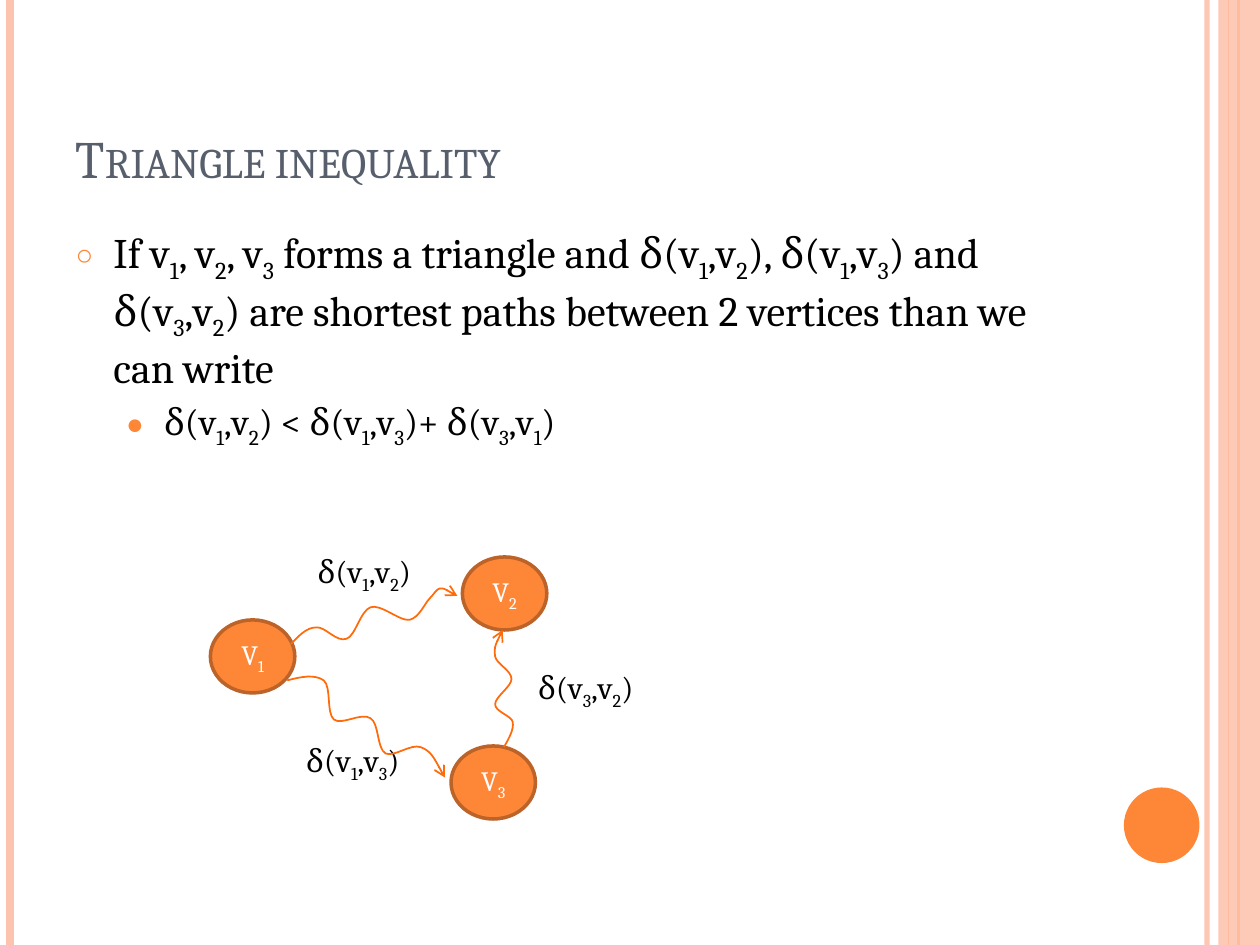
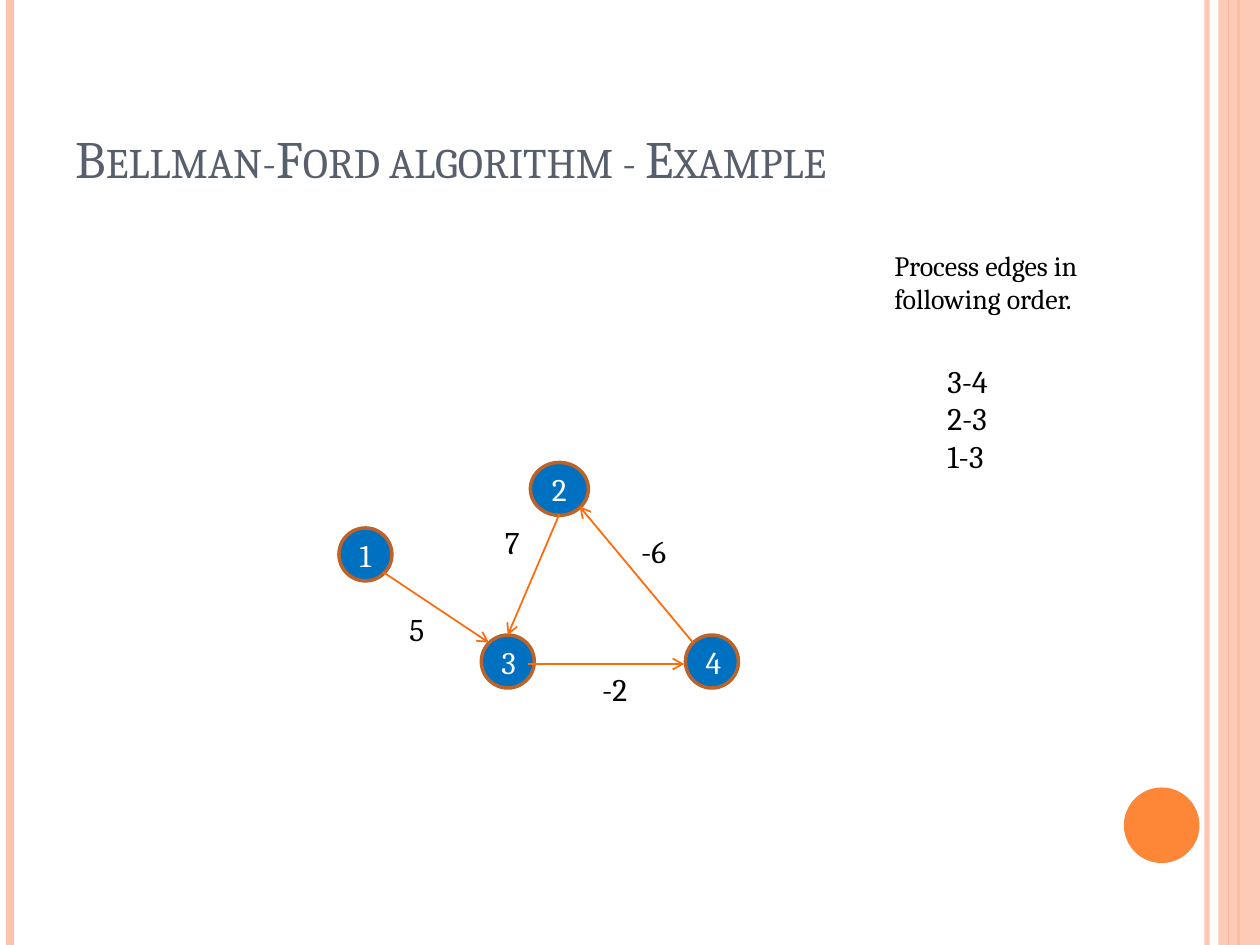
import pptx
import pptx.dml.color
import pptx.enum.shapes
import pptx.enum.text
import pptx.oxml
import pptx.oxml.ns
import pptx.util

FONT = "Cambria"
COLORS = {
    "accent": "FE8637", "band": "FEC3AE", "edge": "FF6B0A", "rim": "BC6329",
    "blue": "0070C0", "title": "575F6D", "text": "000000", "white": "FFFFFF",
}

# Content: lengths are cells of a grid of 100 columns by 75 rows; "_" lowers the next character
COLUMNS, ROWS = 100, 75
TITLE_AREA = (5, 3, 81.7, 12.5)
BODY_AREA = (5, 17.5, 81.7, 53.3)
BAND_LINES = [  # column, colour, points, opacity in percent
    (95.8, "band", 3, 93), (0.8, "band", 4.5, 100),
    (98.3, "accent", 1.5, 100), (97.5, "accent", 0.75, 100),
]
SIDE_BAND = (96.7, 0, 3.3, ROWS)
CORNER_DISC = (89.2, 62.5, 6, 6)
LEVELS = [  # size, left margin, bullet, bullet size in percent, space before
    {"size": 24, "margin": 0.3, "bullet": "○", "scale": 70, "before": 0},
    {"size": 21, "margin": 0.7, "bullet": "●", "scale": 80, "before": 4.2},
]

TRIANGLE = {
    "title": "Triangle inequality",
    "body": [
        (0, "If v_1, v_2, v_3 forms a triangle and δ(v_1,v_2), δ(v_1,v_3) and "
            "δ(v_3,v_2) are shortest paths between 2 vertices than we can write"),
        (1, "δ(v_1,v_2) < δ(v_1,v_3)+ δ(v_3,v_1)"),
    ],
    "node_style": {"fill": "accent", "size": 16},
    "nodes": [
        ("V_1", (16.7, 49.2, 6.7, 5.8)),
        ("V_2", (36.7, 44.2, 6.7, 5.8)),
        ("V_3", (35.8, 59.2, 6.7, 5.8)),
    ],
    "labels": [
        ("δ(v_1,v_2)", (24.2, 43.3, 10.2, 4)),
        ("δ(v_3,v_2)", (41.7, 52.5, 10.2, 4)),
        ("δ(v_1,v_3)", (23.3, 58.3, 10.2, 4)),
    ],
    # Start point, then two control points and an end point for each bend
    "waves": [
        [(23.1, 51.1), (23.7, 50.5), (24.3, 49.8), (25.1, 49.8),
         (25.8, 49.7), (26.7, 51), (27.5, 50.7), (28.2, 50.5), (28.6, 48.5), (29.4, 48.2),
         (30.2, 47.9), (31.7, 49.3), (32.5, 49.2), (33.3, 49), (33.7, 47.9), (34.1, 47.5),
         (34.5, 47.1), (34.6, 46.8), (34.9, 46.7), (35.3, 46.7), (35.8, 47), (36.3, 47.3)],
        [(22.8, 54), (23.9, 53.7), (25, 53.5), (25.7, 54),
         (26.3, 54.5), (25.9, 56.6), (26.5, 57.1), (27.1, 57.6), (28.7, 56.5), (29.4, 57),
         (30.1, 57.4), (29.9, 59.4), (30.6, 59.8), (31.3, 60.1), (32.6, 59), (33.4, 59.3),
         (34.2, 59.6), (34.7, 60.6), (35.3, 61.7)],
        [(40, 59.3), (40.4, 58.6), (40.8, 57.9), (40.7, 57.3),
         (40.6, 56.8), (39.3, 56.5), (39.3, 55.9), (39.3, 55.3), (40.6, 54.5), (40.6, 53.9),
         (40.6, 53.2), (39.4, 52.7), (39.3, 52.1), (39.2, 51.4), (39.5, 50.7), (39.9, 50)],
    ],
}
BELLMAN_FORD = {
    "title": "Bellman-Ford algorithm - Example",
    "node_style": {"fill": "blue", "size": 18},
    "nodes": [
        ("1", (26.9, 41.9, 4.2, 4.2)), ("2", (42.1, 36.7, 4.6, 4.2)),
        ("3", (38.2, 50.4, 4.2, 4.2)), ("4", (54.4, 50.4, 4.2, 4.2)),
    ],
    "arrows": [
        (44.4, 40.8, 40.3, 50.4), (41.9, 52.7, 54.3, 52.7),
        (30.4, 45.4, 38.8, 51), (55, 51, 46, 40.2),
    ],
    "labels": [
        ("5", (31.5, 47.9, 3.4, 4)), ("-2", (46.8, 52.7, 4.3, 4)),
        ("7", (39.1, 41, 3.4, 4)), ("-6", (49.9, 41.7, 4.3, 4)),
        ("3-4\n2-3\n1-3", (74.2, 28.2, 5.7, 10.1)),
    ],
    "note": ("Process edges in following order.", (70, 19.2, 18.3, 9.1)),
}

presentation = pptx.Presentation()
presentation.slide_width = pptx.util.Inches(10)
presentation.slide_height = pptx.util.Inches(7.5)
CELL = presentation.slide_width // COLUMNS


def cells(values):
    return [round(value * CELL) for value in values]


def rgb(name):
    return pptx.dml.color.RGBColor.from_string(COLORS[name])


def add_xml(parent, tag, **attributes):
    child = pptx.oxml.parse_xml(f"<a:{tag} {pptx.oxml.ns.nsdecls('a')}/>")
    for name, value in attributes.items():
        child.set(name, str(value))
    parent.append(child)
    return child


def apply(target, values):
    for name, value in values.items():
        setattr(target, name, value)


def set_opacity(shape, percent):
    color = next(shape._element.spPr.iter(pptx.oxml.ns.qn("a:srgbClr")))
    add_xml(color, "alpha", val=percent * 1000)


def write(paragraph, text, size, color="text"):
    """Write text, lowering each character that follows an underscore."""
    first, *rest = text.split("_")
    pieces = [(first, False)]
    for part in rest:
        pieces += [(part[0], True), (part[1:], False)]
    for piece, lowered in pieces:
        if piece:
            run = paragraph.add_run()
            run.text = piece
            apply(run.font, {"name": FONT, "size": pptx.util.Pt(size)})
            run.font.color.rgb = rgb(color)
            if lowered:
                run._r.get_or_add_rPr().set("baseline", "-25000")


def style_line(shape, color, points, arrow=False):
    shape.line.color.rgb = rgb(color)
    shape.line.width = pptx.util.Pt(points)
    if arrow:
        line = shape._element.spPr.find(pptx.oxml.ns.qn("a:ln"))
        add_xml(line, "tailEnd", type="arrow")


def add_line(slide, ends, color, points, arrow=False):
    line = slide.shapes.add_connector(pptx.enum.shapes.MSO_CONNECTOR.STRAIGHT, *cells(ends))
    style_line(line, color, points, arrow)
    add_xml(line._element.spPr, "effectLst")
    return line


def add_filled(slide, kind, area, color):
    shape = slide.shapes.add_shape(kind, *cells(area))
    shape.shadow.inherit = False
    shape.fill.solid()
    shape.fill.fore_color.rgb = rgb(color)
    shape.line.fill.background()
    return shape


def add_bands(slide):
    for column, color, points, opacity in BAND_LINES:
        line = add_line(slide, (column, 0, column, ROWS), color, points)
        if opacity < 100:
            set_opacity(line, opacity)
    kinds = pptx.enum.shapes.MSO_SHAPE
    set_opacity(add_filled(slide, kinds.RECTANGLE, SIDE_BAND, "band"), 87)
    add_filled(slide, kinds.OVAL, CORNER_DISC, "accent")


def place(shape, area):
    apply(shape, dict(zip(("left", "top", "width", "height"), cells(area))))
    shape.text_frame.auto_size = pptx.enum.text.MSO_AUTO_SIZE.NONE


def add_title(slide, text):
    title = slide.shapes.title
    place(title, TITLE_AREA)
    title.text_frame.vertical_anchor = pptx.enum.text.MSO_ANCHOR.BOTTOM
    paragraph = title.text_frame.paragraphs[0]
    paragraph.alignment = pptx.enum.text.PP_ALIGN.LEFT
    write(paragraph, text, 30, "title")
    paragraph.runs[0]._r.get_or_add_rPr().set("cap", "small")


def add_body(slide, items):
    body = slide.placeholders[1]
    place(body, BODY_AREA)
    for index, (level, text) in enumerate(items):
        frame = body.text_frame
        paragraph = frame.add_paragraph() if index else frame.paragraphs[0]
        style = LEVELS[level]
        apply(paragraph, {"level": level, "space_before": pptx.util.Pt(style["before"])})
        properties = paragraph._p.get_or_add_pPr()
        properties.set("marL", str(pptx.util.Inches(style["margin"])))
        properties.set("indent", str(pptx.util.Inches(-0.3)))
        add_xml(add_xml(properties, "buClr"), "srgbClr", val=COLORS["accent"])
        add_xml(properties, "buSzPct", val=style["scale"] * 1000)
        add_xml(properties, "buChar", char=style["bullet"])
        write(paragraph, text, style["size"])


def add_node(slide, text, area, fill, size):
    node = add_filled(slide, pptx.enum.shapes.MSO_SHAPE.OVAL, area, fill)
    style_line(node, "rim", 2)
    node.text_frame.vertical_anchor = pptx.enum.text.MSO_ANCHOR.MIDDLE
    paragraph = node.text_frame.paragraphs[0]
    paragraph.alignment = pptx.enum.text.PP_ALIGN.CENTER
    write(paragraph, text, size, "white")


def add_label(slide, text, area, size=18, wrap=False):
    frame = slide.shapes.add_textbox(*cells(area)).text_frame
    frame.word_wrap = wrap
    for index, line in enumerate(text.split("\n")):
        paragraph = frame.add_paragraph() if index else frame.paragraphs[0]
        write(paragraph, line, size)


def add_wave(slide, points):
    start, *bends = [cells(point) for point in points]
    builder = slide.shapes.build_freeform(*start)
    builder.add_line_segments(bends, close=False)
    wave = builder.convert_to_shape()
    wave.shadow.inherit = False
    wave.fill.background()
    style_line(wave, "edge", 1, arrow=True)
    # Join each three straight steps into one curve
    outline = next(wave._element.iter(pptx.oxml.ns.qn("a:path")))
    steps = outline.findall(pptx.oxml.ns.qn("a:lnTo"))
    for index in range(0, len(steps), 3):
        curve = add_xml(outline, "cubicBezTo")
        for step in steps[index:index + 3]:
            curve.append(step[0])
            outline.remove(step)


def build_slide(content):
    layout = presentation.slide_layouts[1 if "body" in content else 5]
    slide = presentation.slides.add_slide(layout)
    add_bands(slide)
    add_title(slide, content["title"])
    if "body" in content:
        add_body(slide, content["body"])
    for text, area in content["nodes"]:
        add_node(slide, text, area, **content["node_style"])
    for ends in content.get("arrows", []):
        add_line(slide, ends, "edge", 1, arrow=True)
    for text, area in content["labels"]:
        add_label(slide, text, area)
    for points in content.get("waves", []):
        add_wave(slide, points)
    if "note" in content:
        add_label(slide, *content["note"], size=16, wrap=True)


for slide_content in (TRIANGLE, BELLMAN_FORD):
    build_slide(slide_content)
presentation.save("out.pptx")
